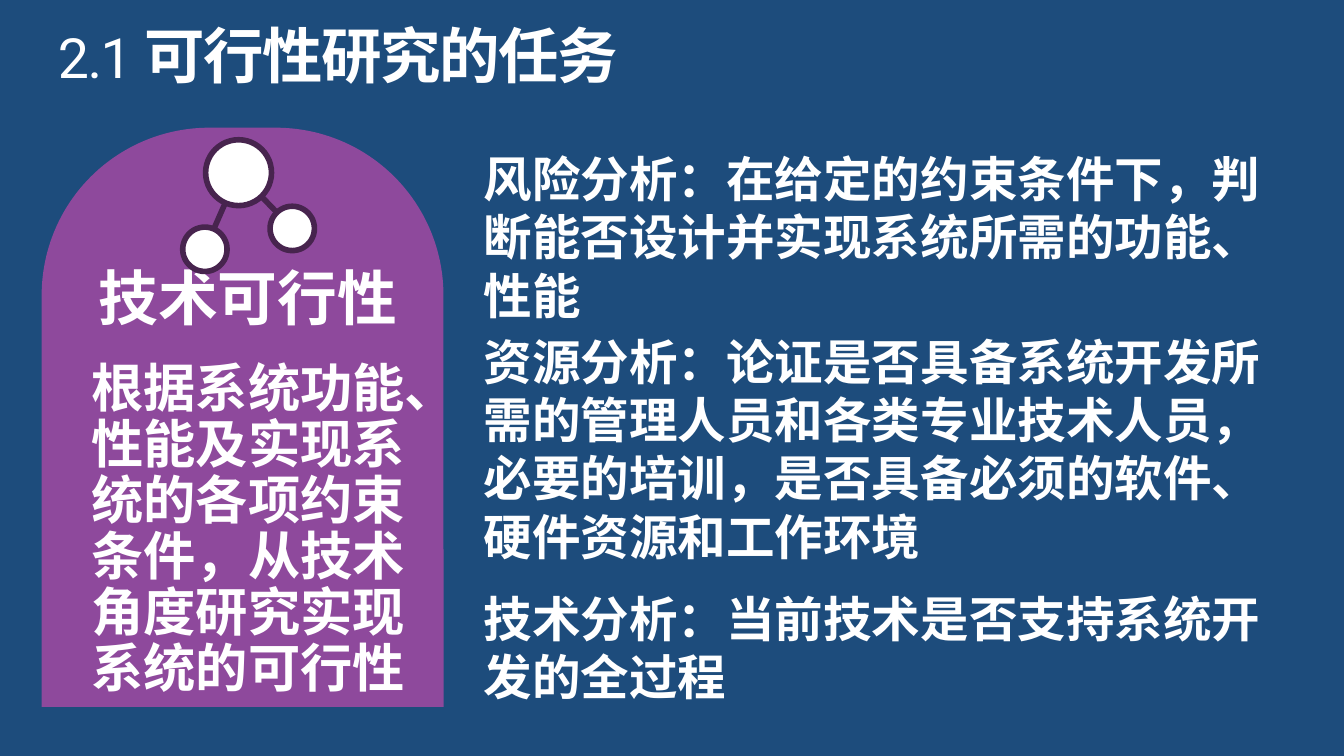
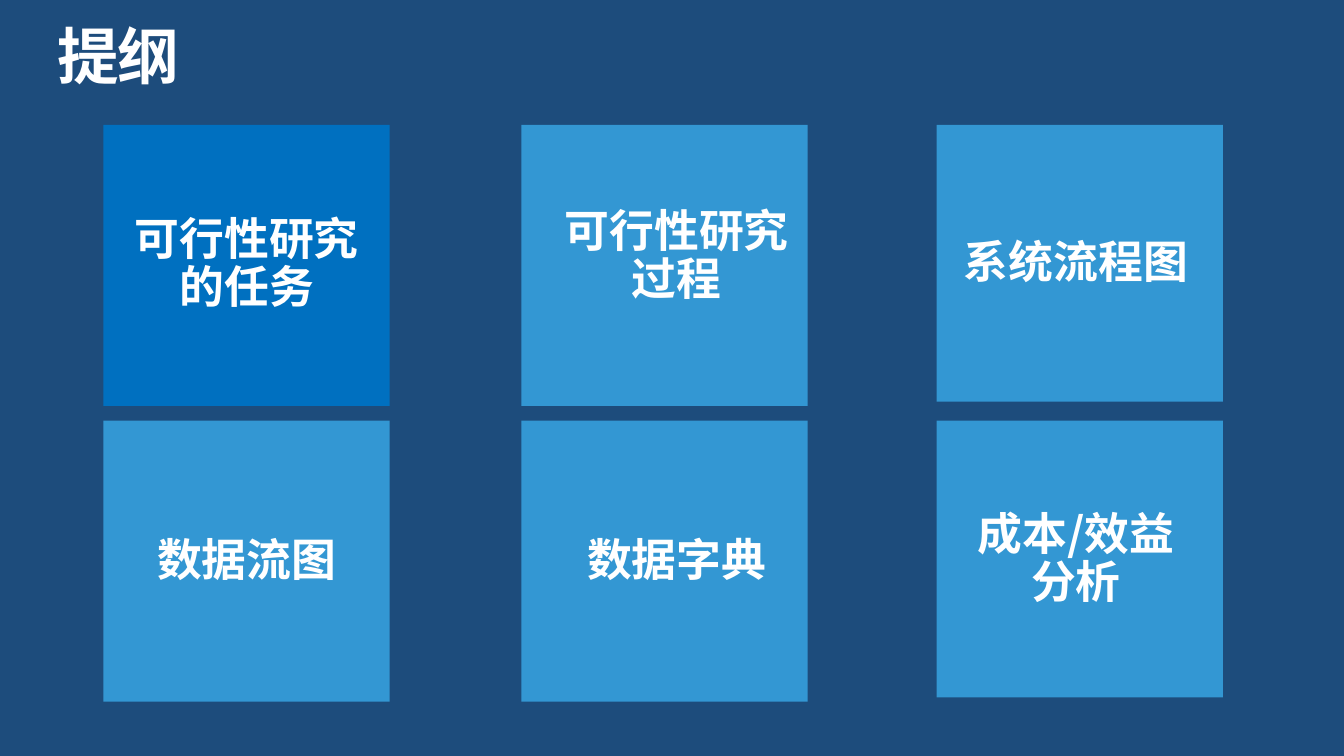
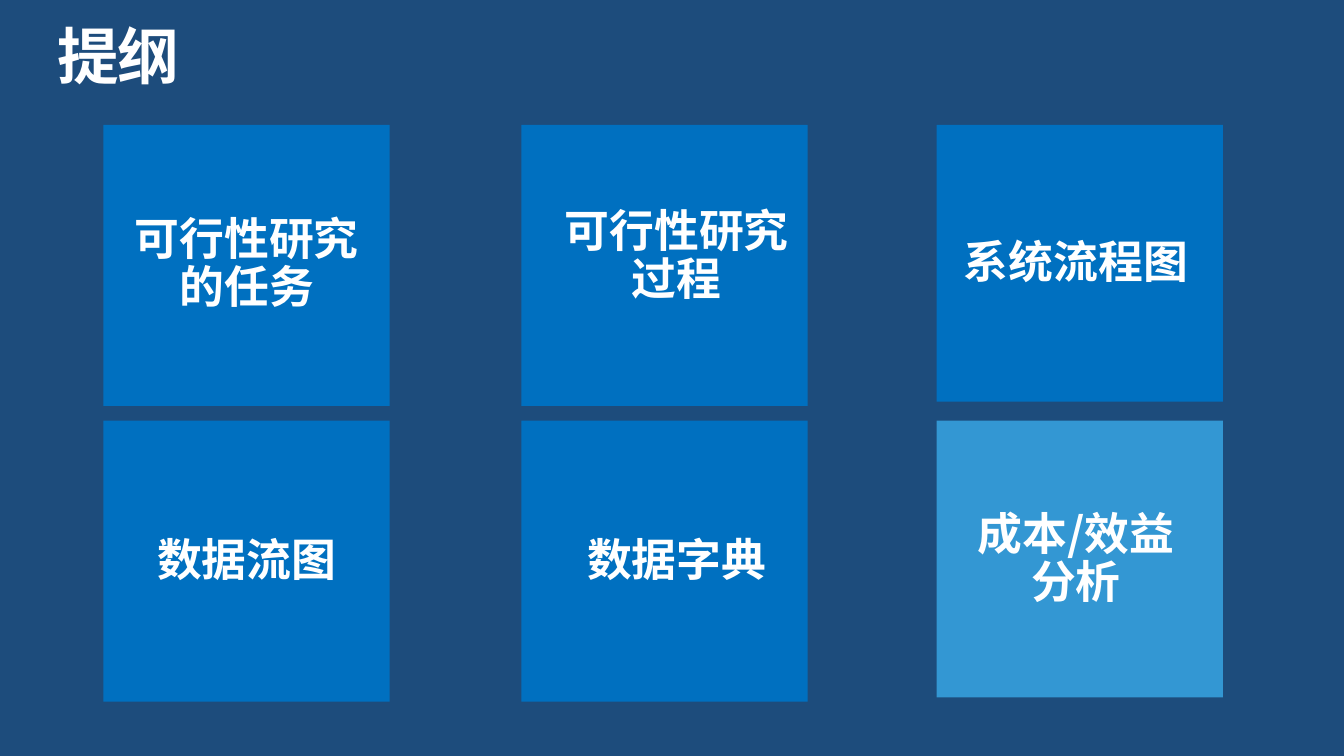
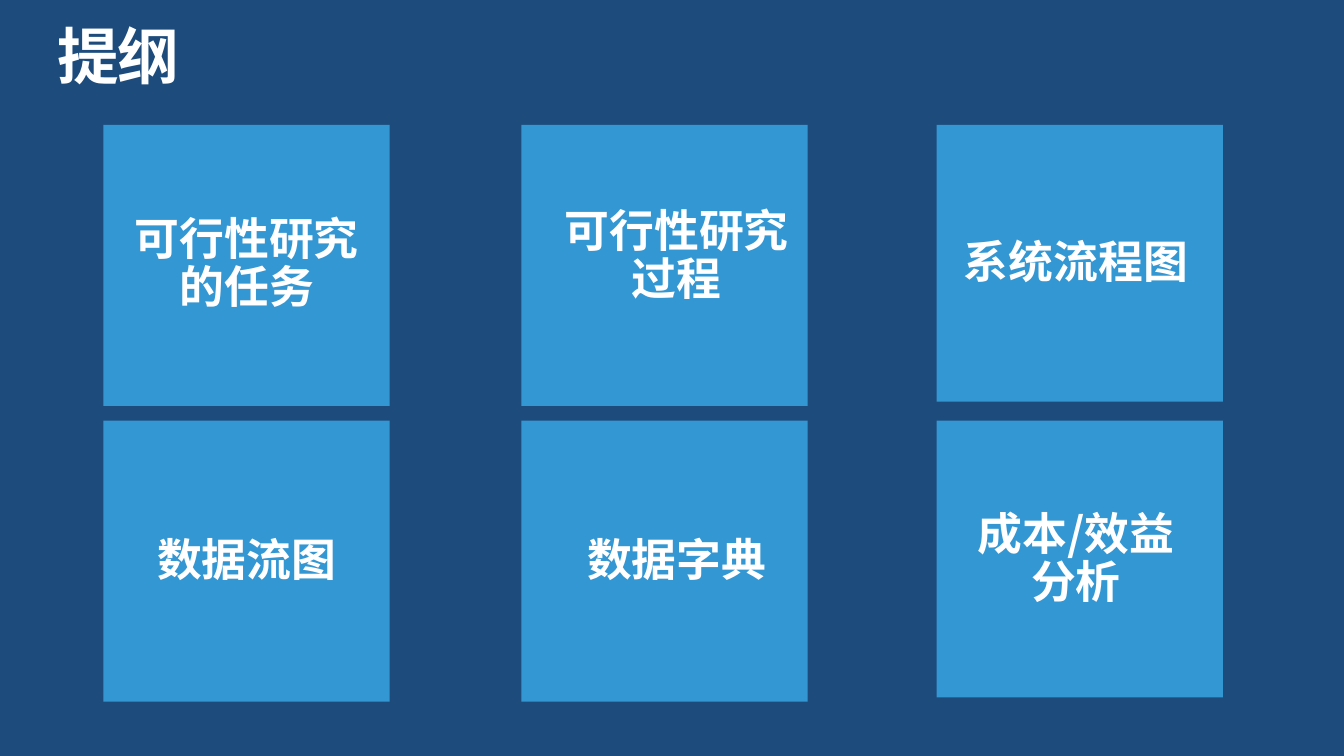
from dataclasses import dataclass

from lxml.etree import SubElement
from pptx import Presentation
from pptx.dml.color import RGBColor as RGB
from pptx.enum.shapes import MSO_CONNECTOR as Connector, MSO_SHAPE as Shape
from pptx.enum.text import MSO_ANCHOR as Anchor, PP_ALIGN as Align
from pptx.oxml.ns import qn
from pptx.util import Inches, Pt


@dataclass(frozen=True)
class Theme:
    background: RGB = RGB(0x1D, 0x4C, 0x7C)
    text: RGB = RGB(0xFF, 0xFF, 0xFF)
    done: RGB = RGB(0x00, 0x70, 0xC0)
    pending: RGB = RGB(0x33, 0x97, 0xD3)
    panel: RGB = RGB(0x8E, 0x49, 0x9C)
    icon: RGB = RGB(0x47, 0x24, 0x4E)
    font: str = "Noto Sans CJK SC"
    number_font: str = "Roboto"
    outline_title: float = 33
    section_title: float = 32.4
    section_number: float = 29.7
    heading: float = 32
    summary: float = 28
    analysis: float = 26
    card: float = 24
    icon_line: float = 3
    tight: float = 1.07
    open: float = 1.2


theme = Theme()
deck = Presentation()
deck.slide_width = Inches(10)
deck.slide_height = deck.slide_width * 9 // 16
UNIT = deck.slide_width / 100


def grid(*steps):
    return [round(step * UNIT) for step in steps]


def write(frame, text, size, leading, align=Align.LEFT, tracking=0):
    paragraph = frame.paragraphs[0]
    if paragraph.runs:
        paragraph = frame.add_paragraph()
    for part in text:
        paragraph.add_run().text = part
    paragraph.alignment = align
    paragraph.line_spacing = Pt(round(size * leading, 1))
    font = paragraph.font
    font.size, font.bold = Pt(size), True
    font.color.rgb = theme.text
    font.name = theme.font
    defaults = paragraph._p.pPr.find(qn("a:defRPr"))
    SubElement(defaults, qn("a:ea"), typeface=theme.font)
    if tracking:
        defaults.set("spc", str(tracking))
    return paragraph


TITLES = [
    (["2.1 ", "可行性研究的任务"], theme.section_title),
    (["提纲"], theme.outline_title),
    (["提纲"], theme.outline_title),
    (["提纲"], theme.outline_title),
]
slides = []
for words, size in TITLES:
    slide = deck.slides.add_slide(deck.slide_layouts[6])
    slide.background.fill.solid()
    slide.background.fill.fore_color.rgb = theme.background
    frame = slide.shapes.add_textbox(*grid(4.3, 1.9, 91.5, 5)).text_frame
    frame.word_wrap = True
    frame.margin_left = frame.margin_right = frame.margin_top = frame.margin_bottom = 0
    title = write(frame, words, size, theme.tight, tracking=-80)
    if len(words) > 1:
        number = title.runs[0].font
        number.name, number.size, number.bold = theme.number_font, Pt(theme.section_number), False
    slides.append(slide)

feasibility, *outlines = slides

panel = feasibility.shapes.add_shape(Shape.ROUND_2_SAME_RECTANGLE, *grid(3.1, 9.5, 29.9, 43.1))
panel.adjustments[0], panel.adjustments[1] = 0.417, 0
panel.shadow.inherit = False
panel.fill.solid()
panel.fill.fore_color.rgb = theme.panel
panel.line.fill.background()

definition = feasibility.shapes.add_textbox(*grid(3.9, 19.5, 29.1, 17.3)).text_frame
definition.word_wrap = True
heading = write(definition, ["技术可行性"], theme.heading, theme.tight, Align.CENTER)
heading.space_after = Pt(9)
summary = write(
    definition,
    ["根据系统功能、性能及实现系统的各项约束条件，从技术角度研究实现系统的可行性"],
    theme.summary, theme.tight, Align.CENTER,
)
summary.space_before = Pt(7)

NODES = [(17.75, 12.85, 4.9), (15.25, 18.55, 3.3), (21.75, 17, 3.3)]
hub = NODES[0]
for node in NODES[1:]:
    link = feasibility.shapes.add_connector(Connector.STRAIGHT, *grid(*hub[:2], *node[:2]))
    link.line.color.rgb = theme.icon
    link.line.width = Pt(theme.icon_line)
    SubElement(link._element.spPr, qn("a:effectLst"))
for x, y, diameter in NODES:
    node = feasibility.shapes.add_shape(
        Shape.OVAL, *grid(x - diameter / 2, y - diameter / 2, diameter, diameter))
    node.shadow.inherit = False
    node.fill.solid()
    node.fill.fore_color.rgb = theme.text
    node.line.color.rgb = theme.icon
    node.line.width = Pt(theme.icon_line)

ANALYSES = [
    (10.6, 14.1, "风险分析：在给定的约束条件下，判断能否设计并实现系统所需的功能、性能"),
    (24.2, 18.5, "资源分析：论证是否具备系统开发所需的管理人员和各类专业技术人员，"
                 "必要的培训，是否具备必须的软件、硬件资源和工作环境"),
    (43.3, 9.8, "技术分析：当前技术是否支持系统开发的全过程"),
]
for top, height, analysis in ANALYSES:
    frame = feasibility.shapes.add_textbox(*grid(35, top, 63, height)).text_frame
    frame.word_wrap = True
    write(frame, [analysis], theme.analysis, theme.open)

COLUMNS = [7.7, 38.8, 69.7]
HEIGHTS = [20.9, 20.9, 20.6]
ROWS = [9.3, 31.3]
TOPICS = [
    ("可行性研究的任务", 9.4, 16, 7.3),
    ("可行性研究过程", 41.4, 15.4, 7.3),
    ("系统流程图", 71.1, 17.8, 3.6),
    ("数据流图", 9.4, 40, 3.6),
    ("数据字典", 41.4, 40, 3.6),
    ("成本/效益分析", 71.1, 38, 7.3),
]
DONE_TOPICS = [1, 5, 0]
for slide, done in zip(outlines, DONE_TOPICS):
    for index, (topic, left, top, height) in enumerate(TOPICS):
        row, column = divmod(index, len(COLUMNS))
        card = slide.shapes.add_shape(
            Shape.RECTANGLE, *grid(COLUMNS[column], ROWS[row], 21.3, HEIGHTS[column]))
        card.shadow.inherit = False
        card.fill.solid()
        card.fill.fore_color.rgb = theme.done if index < done else theme.pending
        card.line.fill.background()
        frame = slide.shapes.add_textbox(*grid(left, top, 17.9, height)).text_frame
        frame.word_wrap = True
        frame.vertical_anchor = Anchor.MIDDLE
        frame.margin_left = frame.margin_right = frame.margin_top = frame.margin_bottom = 0
        write(frame, [topic], theme.card, theme.tight, Align.CENTER)

deck.save("out.pptx")
